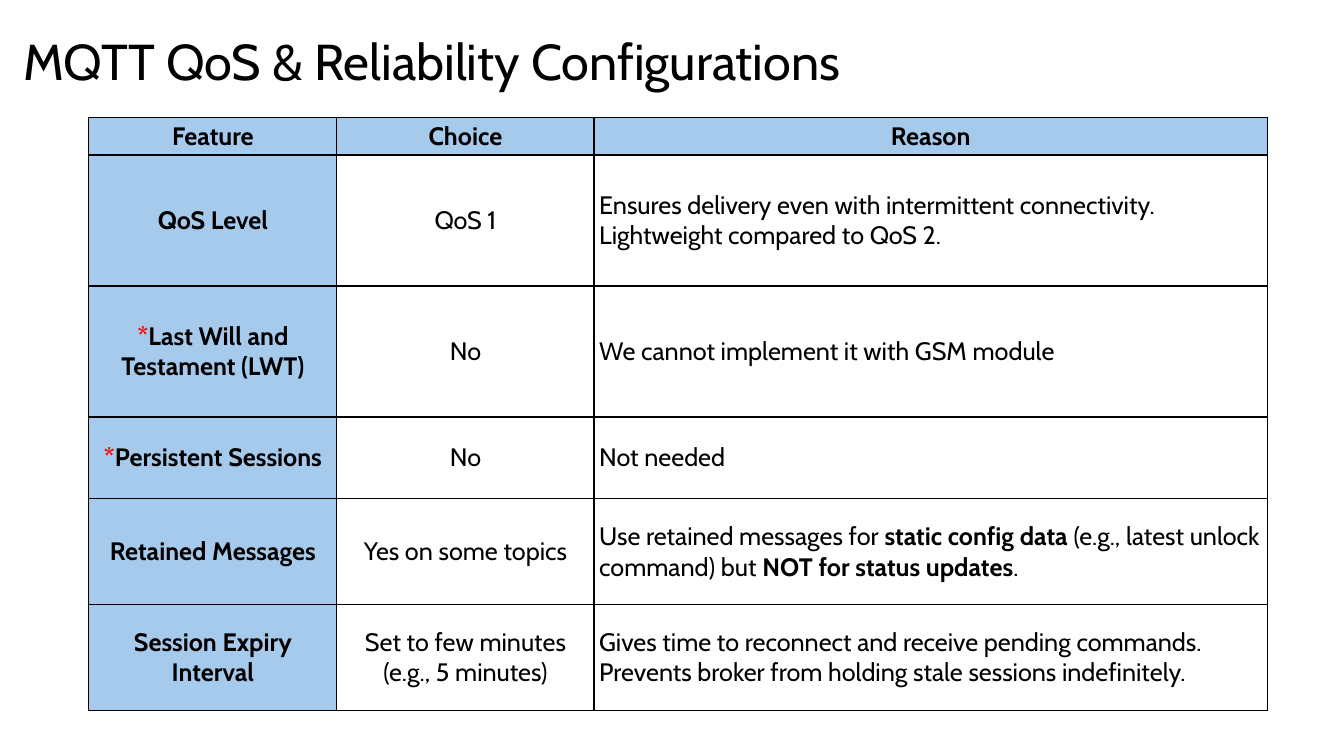
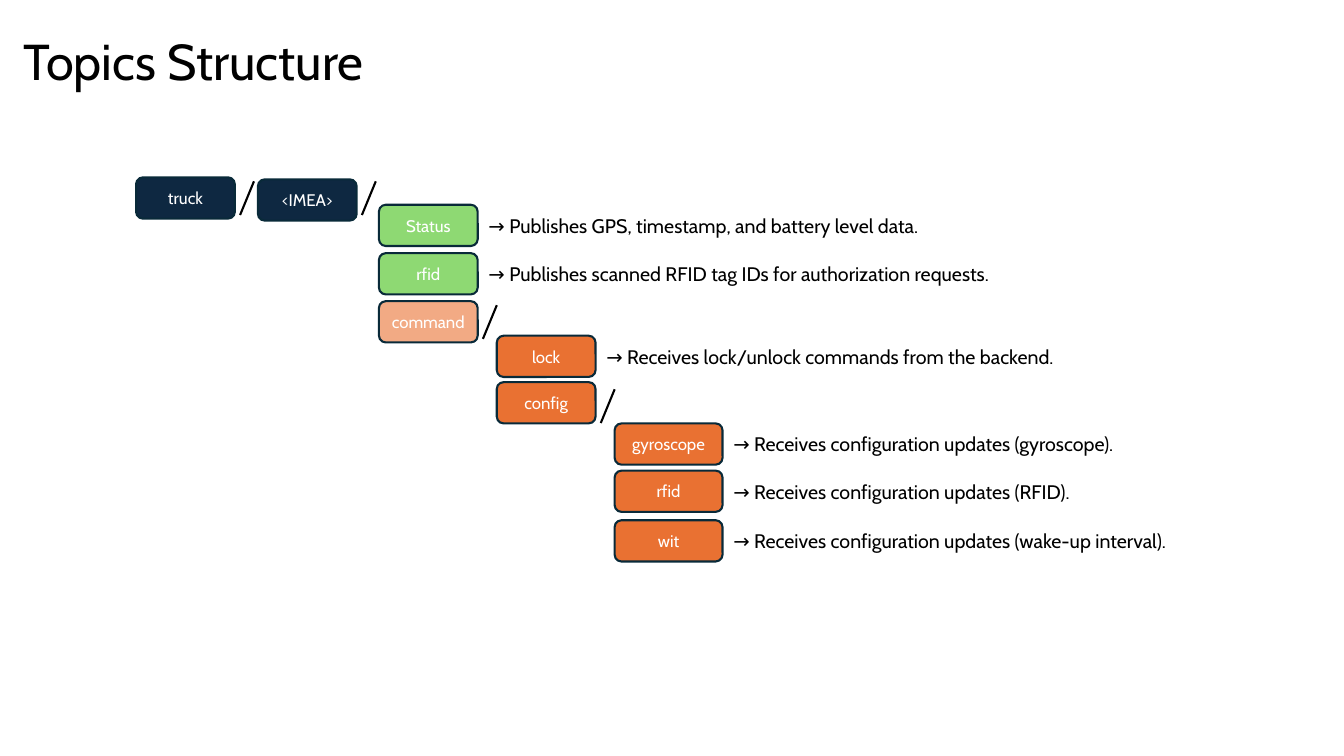
from lxml import etree
from pptx import Presentation
from pptx import util as u
from pptx.dml.color import RGBColor
from pptx.enum import shapes, text
from pptx.oxml import ns

BLACK, WHITE, RED = "000000", "FFFFFF", "FF0000"
SKY, NAVY, OUTLINE = "A6CAEC", "0E2841", "092A39"
GREEN, PEACH, ORANGE = "8ED973", "F2AA84", "E97132"
CENTER, LEFT = text.PP_ALIGN.CENTER, text.PP_ALIGN.LEFT

COLUMNS = [6.25, 6.48, 16.97]
ROWS = [0.91, 3.3, 3.3, 2.06, 2.67, 2.67]
HEADINGS = ["Feature", "Choice", "Reason"]
SETTINGS = [
    ([("QoS Level", True)], "QoS 1",
     [[("Ensures delivery even with intermittent connectivity.",)],
      [("Lightweight compared to QoS 2.",)]]),
    ([("*", True, RED), ("Last Will and Testament (LWT)", True)], "No",
     [[("We cannot implement it with GSM module",)]]),
    ([("*", True, RED), ("Persistent Sessions", True)], "No",
     [[("Not needed",)]]),
    ([("Retained Messages", True)], "Yes on some topics",
     [[("Use retained messages for ",), ("static config data", True),
       (" (e.g., latest unlock command) but ",),
       ("NOT for status updates", True), (".",)]]),
    ([("Session Expiry Interval", True)], "Set to few minutes (e.g., 5 minutes)",
     [[("Gives time to reconnect and receive pending commands. "
        "Prevents broker from holding stale sessions indefinitely.",)]]),
]

TOPIC_LEVELS = [
    dict(left=3.43, width=2.49, slash_drop=0.1,
         topics=[("truck", 4.47, NAVY, "")]),
    dict(left=6.5, width=2.49, slash_drop=0.05,
         topics=[("<IMEA>", 4.52, NAVY, "")]),
    dict(left=9.55, width=2.49, slash_drop=0.1, note_width=17.02, topics=[
        ("Status", 5.16, GREEN,
         "→ Publishes GPS, timestamp, and battery level data."),
        ("rfid", 6.38, GREEN,
         "→ Publishes scanned RFID tag IDs for authorization requests."),
        ("command", 7.59, PEACH, "")]),
    dict(left=12.52, width=2.49, slash_drop=0.18, note_width=13, topics=[
        ("lock", 8.46, ORANGE,
         "→ Receives lock/unlock commands from the backend."),
        ("config", 9.63, ORANGE, "")]),
    dict(left=15.49, width=2.72, note_width=14.81, topics=[
        ("gyroscope", 10.67, ORANGE,
         "→ Receives configuration updates (gyroscope)."),
        ("rfid", 11.86, ORANGE, "→ Receives configuration updates (RFID)."),
        ("wit", 13.11, ORANGE,
         "→ Receives configuration updates (wake-up interval).")]),
]


def color(value):
    return RGBColor.from_string(value)


def box(*lengths):
    return [u.Cm(length) for length in lengths]


class Deck:
    """Holds the shared style and the slide being filled."""

    font = "Cabin"
    tag_height = 1.04

    def __init__(self):
        self.show = Presentation()
        self.show.slide_width, self.show.slide_height = box(33.87, 19.05)
        self.slide = None

    def run(self, line, size, words, bold=False, tint=BLACK):
        run = line.add_run()
        run.text = words
        run.font.name, run.font.size = self.font, u.Pt(size)
        run.font.bold = bold
        run.font.color.rgb = color(tint)

    def paragraphs(self, frame, lines, size, align=LEFT):
        for number, runs in enumerate(lines):
            line = frame.add_paragraph() if number else frame.paragraphs[0]
            line.alignment = align
            for run in runs:
                self.run(line, size, *run)

    def start(self, heading):
        self.slide = self.show.slides.add_slide(self.show.slide_layouts[5])
        title = self.slide.shapes.title
        title.left, title.top, title.width, title.height = box(0.33, 0.3, 29.21, 2.62)
        frame = title.text_frame
        frame.auto_size = text.MSO_AUTO_SIZE.NONE
        frame.vertical_anchor = text.MSO_ANCHOR.MIDDLE
        self.paragraphs(frame, [[(heading,)]], 36)
        frame.paragraphs[0].line_spacing = 0.9

    def table(self, left, top, widths, heights):
        area = box(left, top, sum(widths), sum(heights))
        grid = self.slide.shapes.add_table(len(heights), len(widths), *area).table
        grid.first_row = grid.horz_banding = False
        for column, width in zip(grid.columns, widths):
            column.width = u.Cm(width)
        for row, height in zip(grid.rows, heights):
            row.height = u.Cm(height)
        return grid

    def cell(self, cell, lines, align, fill):
        cell.margin_left = cell.margin_right = u.Cm(0.13)
        cell.margin_top = cell.margin_bottom = u.Cm(0.08)
        cell.vertical_anchor = text.MSO_ANCHOR.MIDDLE
        properties = cell._tc.get_or_add_tcPr()
        for side in ("lnL", "lnR", "lnT", "lnB"):
            edge = etree.SubElement(properties, ns.qn("a:" + side), w=str(int(u.Pt(1))))
            paint = etree.SubElement(edge, ns.qn("a:solidFill"))
            etree.SubElement(paint, ns.qn("a:srgbClr"), val=BLACK)
        cell.fill.solid()
        cell.fill.fore_color.rgb = color(fill)
        self.paragraphs(cell.text_frame, lines, 18, align)

    def tag(self, label, left, top, width, fill):
        tag = self.slide.shapes.add_shape(
            shapes.MSO_SHAPE.ROUNDED_RECTANGLE,
            *box(left, top, width, self.tag_height))
        tag.shadow.inherit = False
        tag.fill.solid()
        tag.fill.fore_color.rgb = color(fill)
        tag.line.color.rgb = color(OUTLINE)
        tag.line.width = u.Pt(1.5)
        tag.text_frame.vertical_anchor = text.MSO_ANCHOR.MIDDLE
        self.paragraphs(tag.text_frame, [[(label, False, WHITE)]], 12, CENTER)

    def note(self, words, left, top, width):
        note = self.slide.shapes.add_textbox(*box(left, top, width, 0.86))
        note.text_frame.word_wrap = True
        note.text_frame.auto_size = text.MSO_AUTO_SIZE.SHAPE_TO_FIT_TEXT
        self.paragraphs(note.text_frame, [[(words,)]], 14)

    def slash(self, left, top):
        slash = self.slide.shapes.add_connector(
            shapes.MSO_CONNECTOR.STRAIGHT,
            *box(left + 0.35, top, left, top + 0.85))
        slash.line.color.rgb = color(BLACK)
        slash.line.width = u.Pt(1.5)
        etree.SubElement(slash._element.spPr, ns.qn("a:effectLst"))


def reliability(deck):
    deck.start("MQTT QoS & Reliability Configurations")
    grid = deck.table(2.24, 2.97, COLUMNS, ROWS)
    for column, heading in enumerate(HEADINGS):
        deck.cell(grid.cell(0, column), [[(heading, True)]], CENTER, SKY)
    for row, (feature, choice, reason) in enumerate(SETTINGS, 1):
        deck.cell(grid.cell(row, 0), [feature], CENTER, SKY)
        deck.cell(grid.cell(row, 1), [[(choice,)]], CENTER, WHITE)
        deck.cell(grid.cell(row, 2), reason, LEFT, WHITE)


def topics(deck):
    deck.start("Topics Structure")
    for level in TOPIC_LEVELS:
        left, width = level["left"], level["width"]
        right = left + width
        for label, top, fill, note in level["topics"]:
            deck.tag(label, left, top, width, fill)
            if note:
                deck.note(note, right + 0.02, top + 0.1, level["note_width"])
        if "slash_drop" in level:
            deck.slash(right + 0.13, top + level["slash_drop"])


def main():
    deck = Deck()
    reliability(deck)
    topics(deck)
    deck.show.save("out.pptx")


if __name__ == "__main__":
    main()
